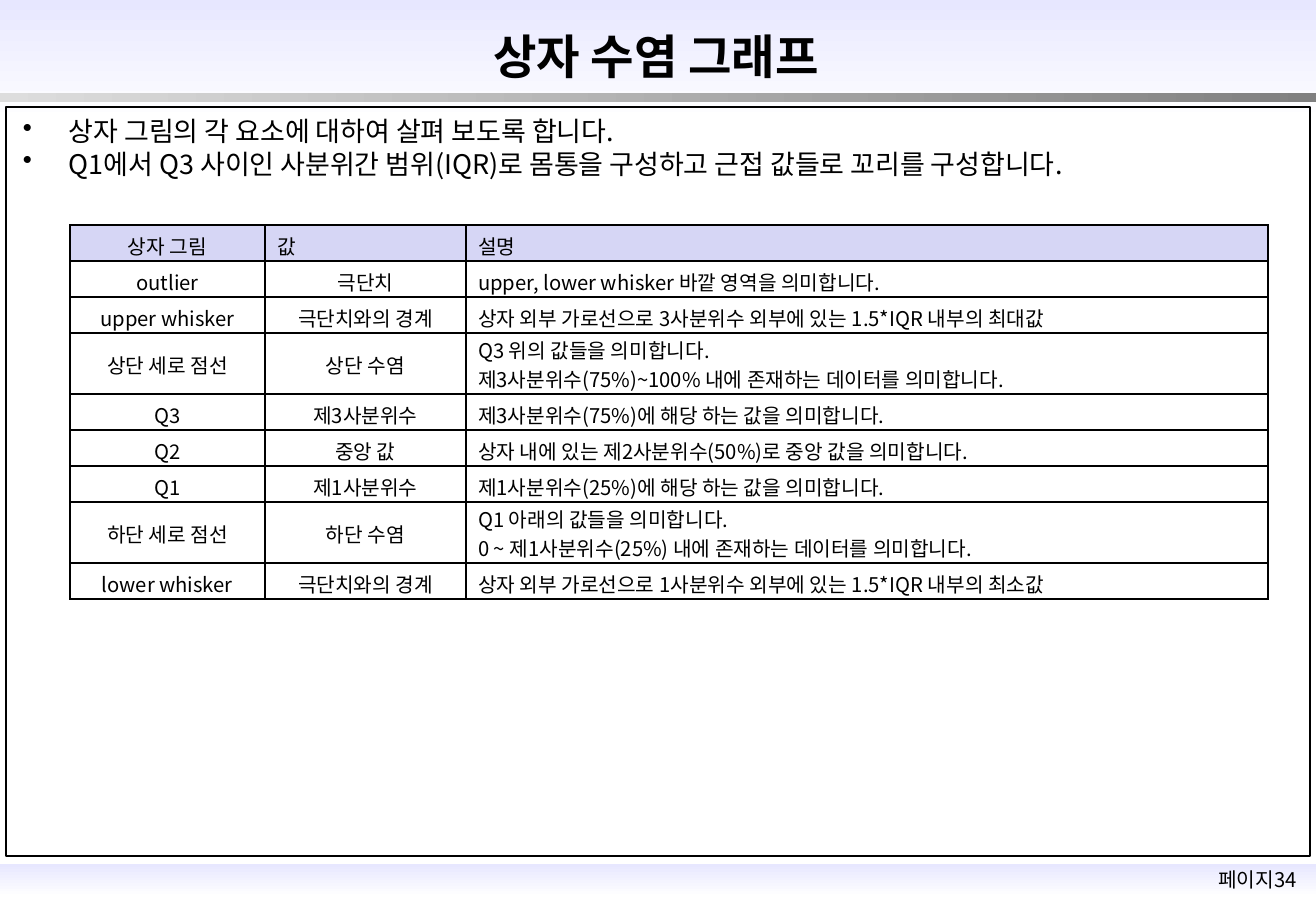
from pptx import Presentation
from pptx.dml.color import RGBColor
from pptx.enum.shapes import MSO_SHAPE
from pptx.enum.text import MSO_ANCHOR, PP_ALIGN
from pptx.oxml import parse_xml
from pptx.oxml.ns import nsdecls
from pptx.util import Pt

PX = 7526
FONT = "Noto Sans CJK KR"
BLACK = RGBColor(0, 0, 0)
WHITE = RGBColor(255, 255, 255)
PALE = RGBColor(0xE7, 0xE7, 0xFF)
HEAD = RGBColor(0xD6, 0xD6, 0xF5)
GREY = RGBColor(0x80, 0x80, 0x80)
LIGHT = RGBColor(0xDD, 0xDD, 0xDD)
RECT = MSO_SHAPE.RECTANGLE
MID = MSO_ANCHOR.MIDDLE
LEFT, CENTER = PP_ALIGN.LEFT, PP_ALIGN.CENTER


def px(*vals):
    return [round(v * PX) for v in vals]


def write(frame, text, size, align, bold=False):
    frame.text = text
    look = {"name": FONT, "size": Pt(size), "bold": bold}
    for para in frame.paragraphs:
        para.alignment = align
        para.space_before = Pt(0)
        for run in para.runs:
            for key, val in look.items():
                setattr(run.font, key, val)
            run.font.color.rgb = BLACK
            run.font._element.find("{*}latin").addnext(
                parse_xml(f'<a:ea {nsdecls("a")} typeface="{FONT}"/>'))


prs = Presentation()
prs.slide_width, prs.slide_height = px(1316, 911)
slide = prs.slides.add_slide(prs.slide_layouts[5])
shapes = slide.shapes

bands = [
    ((0, 864, 1316, 33), PALE, WHITE, 270),
    ((0, 0, 1316, 122), PALE, WHITE, 270),
    ((0, 93, 1316, 9), LIGHT, GREY, 0),
]
for box, start, end, angle in bands:
    band = shapes.add_shape(RECT, *px(*box))
    band.shadow.inherit = False
    band.line.fill.background()
    band.fill.gradient()
    band.fill.gradient_angle = angle
    for stop, color, pos in zip(band.fill.gradient_stops, (start, end), (0, 1)):
        stop.color.rgb = color
        stop.position = pos

frame = shapes.add_shape(RECT, *px(6, 107, 1304, 749))
frame.shadow.inherit = False
frame.fill.background()
frame.line.color.rgb = BLACK
frame.line.width = Pt(1.5)

page = shapes.add_textbox(*px(1193, 861, 129, 36)).text_frame
page.word_wrap = True
write(page, "페이지34", 12, CENTER)

title = shapes.title
title.left, title.top, title.width, title.height = px(169, 21, 974, 70)
title.text_frame.vertical_anchor = MID
write(title.text_frame, "상자 수염 그래프", 28, CENTER, True)
shapes._spTree.append(title._element)

body = shapes.add_textbox(*px(11, 109, 1305, 84)).text_frame
body.word_wrap = True
write(body, "상자 그림의 각 요소에 대하여 살펴 보도록 합니다.\n"
      "Q1에서 Q3 사이인 사분위간 범위(IQR)로 몸통을 구성하고 근접 값들로 꼬리를 구성합니다.",
      16, LEFT)
for para in body.paragraphs:
    props = para._p.get_or_add_pPr()
    dent = px(46)[0]
    props.set("marL", str(dent))
    props.set("indent", str(-dent))
    props.append(parse_xml(f'<a:buChar {nsdecls("a")} char="•"/>'))

rows = [
    ("상자 그림", "값", "설명"),
    ("outlier", "극단치", "upper, lower whisker 바깥 영역을 의미합니다."),
    ("upper whisker", "극단치와의 경계",
     "상자 외부 가로선으로 3사분위수 외부에 있는 1.5*IQR 내부의 최대값"),
    ("상단 세로 점선", "상단 수염",
     "Q3 위의 값들을 의미합니다.\n제3사분위수(75%)~100% 내에 존재하는 데이터를 의미합니다."),
    ("Q3", "제3사분위수", "제3사분위수(75%)에 해당 하는 값을 의미합니다."),
    ("Q2", "중앙 값", "상자 내에 있는 제2사분위수(50%)로 중앙 값을 의미합니다."),
    ("Q1", "제1사분위수", "제1사분위수(25%)에 해당 하는 값을 의미합니다."),
    ("하단 세로 점선", "하단 수염",
     "Q1 아래의 값들을 의미합니다.\n0 ~ 제1사분위수(25%) 내에 존재하는 데이터를 의미합니다."),
    ("lower whisker", "극단치와의 경계",
     "상자 외부 가로선으로 1사분위수 외부에 있는 1.5*IQR 내부의 최소값"),
]
table = shapes.add_table(len(rows), 3, *px(70, 225, 1198, 377)).table
table.first_row = table.horz_banding = False
for col, width in zip(table.columns, px(195, 201, 802)):
    col.width = width
for r, row in enumerate(rows):
    tall = "\n" in row[2]
    table.rows[r].height = px(61 if tall else 36)[0]
    for c, text in enumerate(row):
        cell = table.cell(r, c)
        cell.vertical_anchor = MID
        cell.margin_top, cell.margin_bottom = px(2 if tall else 6, 0)
        centred = c == 0 or (c == 1 and r > 0)
        write(cell.text_frame, text, 12, CENTER if centred else LEFT)
        props = cell._tc.get_or_add_tcPr()
        for side in ("lnL", "lnR", "lnT", "lnB"):
            props.append(parse_xml(
                f'<a:{side} {nsdecls("a")} w="12700"><a:solidFill>'
                f'<a:srgbClr val="{BLACK}"/></a:solidFill></a:{side}>'))
        if r == 0:
            cell.fill.solid()
            cell.fill.fore_color.rgb = HEAD
        else:
            cell.fill.background()

prs.save("out.pptx")
